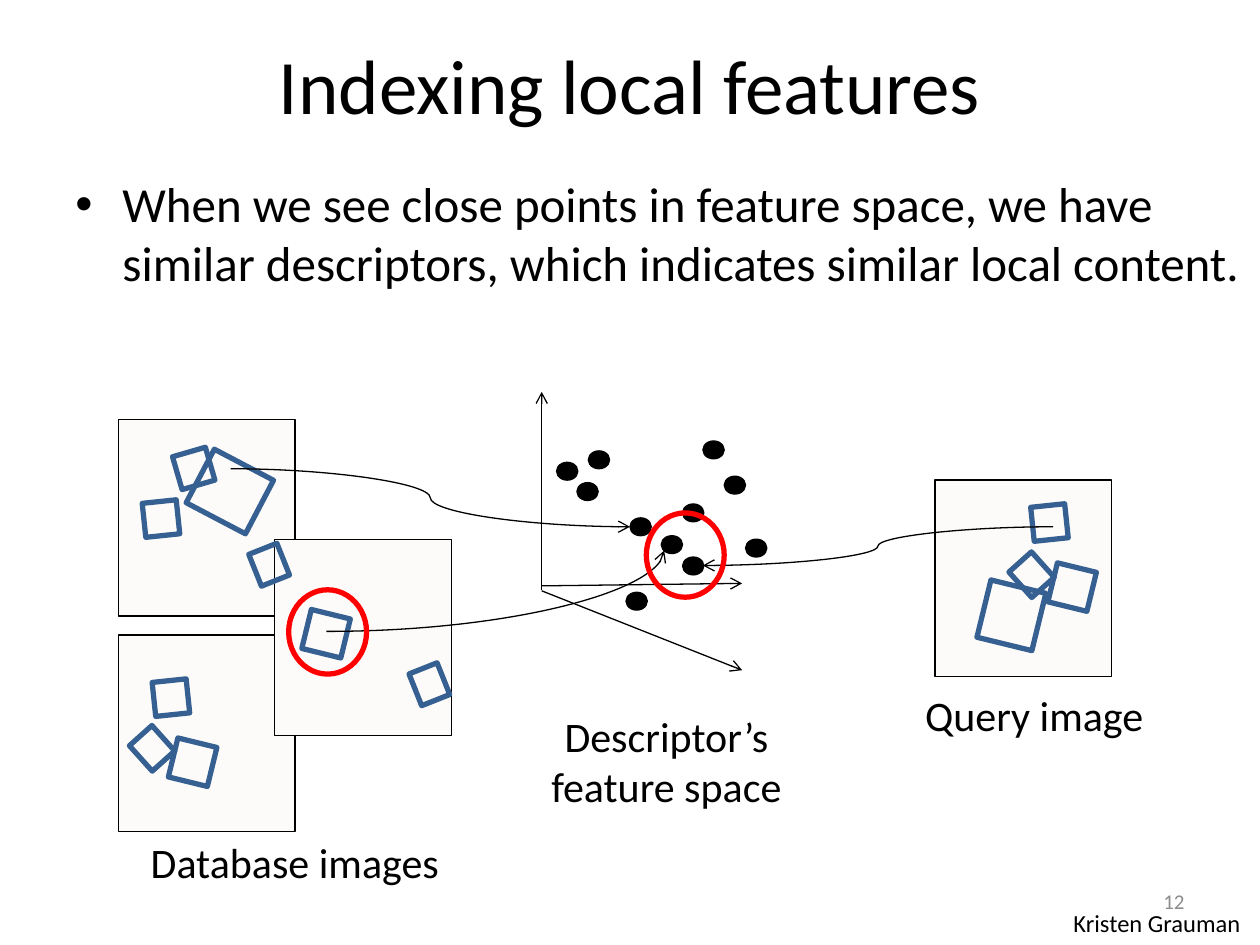
from lxml import etree
from pptx import Presentation
from pptx.dml.color import RGBColor
from pptx.enum.shapes import MSO_CONNECTOR, MSO_SHAPE
from pptx.enum.text import MSO_ANCHOR, PP_ALIGN
from pptx.oxml.ns import qn
from pptx.util import Cm, Pt

RECTANGLE, OVAL = MSO_SHAPE.RECTANGLE, MSO_SHAPE.OVAL
STRAIGHT, CURVE = MSO_CONNECTOR.STRAIGHT, MSO_CONNECTOR.CURVE
LEFT, CENTER, RIGHT = PP_ALIGN.LEFT, PP_ALIGN.CENTER, PP_ALIGN.RIGHT
TOP, MIDDLE = MSO_ANCHOR.TOP, MSO_ANCHOR.MIDDLE

BLACK = RGBColor(0x00, 0x00, 0x00)
GRAY = RGBColor(0x8C, 0x8C, 0x8C)
PAPER = RGBColor(0xFC, 0xFB, 0xF9)
BLUE = RGBColor(0x37, 0x60, 0x92)
RED = RGBColor(0xFF, 0x00, 0x00)

# Sizes in cm
PHOTO = (3.56, 3.96)
DOT = (0.43, 0.36)
RING = (1.57, 1.7)
SMALL, FLAT, MEDIUM = (0.69, 0.69), (0.69, 0.61), (0.81, 0.81)


def add_text(slide, text, box, size, align=CENTER, anchor=TOP, color=BLACK, bullet=False):
    shape = slide.shapes.add_textbox(*map(Cm, box))
    frame = shape.text_frame
    for name, value in {"word_wrap": True, "vertical_anchor": anchor}.items():
        setattr(frame, name, value)
    paragraph = frame.paragraphs[0]
    paragraph.text = text
    paragraph.alignment = align
    if bullet:
        properties = paragraph._p.get_or_add_pPr()
        properties.set("marL", str(Cm(0.95)))
        properties.set("indent", str(-Cm(0.95)))
        etree.SubElement(properties, qn("a:buFont")).set("typeface", "Arial")
        etree.SubElement(properties, qn("a:buChar")).set("char", "•")
    font = paragraph.runs[0].font
    for name, value in {"name": "Calibri", "size": Pt(size)}.items():
        setattr(font, name, value)
    font.color.rgb = color


def add_outline(slide, kind, position, size, line, width, fill=None, rotation=0):
    shape = slide.shapes.add_shape(kind, *map(Cm, (*position, *size)))
    shape.shadow.inherit = False
    shape.rotation = rotation
    if fill is None:
        shape.fill.background()
    else:
        shape.fill.solid()
        shape.fill.fore_color.rgb = fill
    shape.line.color.rgb = line
    shape.line.width = Pt(width)


def add_arrow(slide, kind, start, end, preset=None):
    connector = slide.shapes.add_connector(kind, *map(Cm, (*start, *end)))
    connector.line.color.rgb = BLACK
    connector.line.width = Pt(0.75)
    properties = connector._element.spPr
    etree.SubElement(properties.find(qn("a:ln")), qn("a:tailEnd")).set("type", "arrow")
    etree.SubElement(properties, qn("a:effectLst"))
    if preset:
        properties.find(qn("a:prstGeom")).set("prst", preset)


def add_photos(slide, left, top, photos, patches, label, label_box):
    """Photos with detected patches and a caption, relative to (left, top)."""
    for x, y in photos:
        add_outline(slide, RECTANGLE, (left + x, top + y), PHOTO, BLACK, 0.75, PAPER)
    for x, y, size, angle in patches:
        add_outline(slide, RECTANGLE, (left + x, top + y), size, BLUE, 3, rotation=angle)
    x, y, width, height = label_box
    add_text(slide, label, (left + x, top + y, width, height), 24)


def add_database(slide, left, top):
    photos = [(0, 0), (0, 4.34), (3.15, 2.41)]
    patches = [
        (1.17, 0.64, SMALL, 73.8), (1.57, 0.84, (1.35, 1.22), 27.7),
        (0.33, 6.32, FLAT, 48.1), (0.51, 1.65, SMALL, 84),
        (2.69, 2.62, FLAT, 68.3), (0.71, 5.26, SMALL, 84),
        (5.92, 5.03, FLAT, 68.3), (1.09, 6.5, MEDIUM, 13.7),
        (3.78, 3.91, MEDIUM, 13.7),
    ]
    add_photos(slide, left, top, photos, patches, "Database images", (0.28, 8.28, 6.55, 2.31))


def add_query(slide, left, top):
    patches = [
        (1.6, 1.6, FLAT, 48.1), (1.96, 0.51, SMALL, 84),
        (2.36, 1.75, MEDIUM, 13.7), (0.97, 2.13, (1.14, 1.19), 13.7),
    ]
    add_photos(slide, left, top, [(0, 0)], patches, "Query image", (-0.64, 4.09, 5.28, 2.31))


def add_feature_space(slide, left, top):
    # Axes
    axes = [((0, 3.91), (4.04, 3.86)), ((0, 3.99), (0, 0)), ((0, 4.01), (4.04, 5.61))]
    for start, end in axes:
        add_arrow(slide, STRAIGHT, (left + start[0], top + start[1]),
                  (left + end[0], top + end[1]))
    # Descriptors
    dots = [
        (0.3, 1.42), (0.71, 1.83), (0.94, 1.19), (1.78, 2.54), (2.41, 2.9), (2.84, 2.26),
        (3.25, 0.99), (3.68, 1.7), (4.11, 2.97), (1.7, 4.04), (2.84, 3.33),
    ]
    for x, y in dots:
        add_outline(slide, OVAL, (left + x, top + y), DOT, BLACK, 0.75, BLACK)
    add_text(slide, "Descriptor’s feature space", (left - 0.76, top + 6.3, 6.55, 2.31), 24)


def add_matches(slide):
    """Curves from patches to descriptors, and rings around the match."""
    add_arrow(slide, CURVE, (4.65, 9.45), (12.7, 10.62))
    add_arrow(slide, CURVE, (6.58, 12.73), (13.39, 11.1), "curvedConnector2")
    add_arrow(slide, CURVE, (21.23, 10.62), (14.17, 11.4))
    for position in [(13.03, 10.34), (5.82, 11.89)]:
        add_outline(slide, OVAL, position, RING, RED, 3)


def add_heading(slide):
    add_text(slide, "Indexing local features", (1.27, 0.1, 22.86, 3.18), 44, anchor=MIDDLE)
    add_text(slide, "When we see close points in feature space, we have similar descriptors, "
             "which indicates similar local content.",
             (1.27, 3.38, 24.13, 10.36), 28, align=LEFT, bullet=True)


def add_footer(slide):
    add_text(slide, "Kristen Grauman", (21.39, 18.19, 5.28, 0.86), 14, align=LEFT)
    add_text(slide, "12", (18.21, 17.65, 5.92, 1.02), 12, RIGHT, MIDDLE, GRAY)


def main():
    presentation = Presentation()
    presentation.slide_width, presentation.slide_height = Cm(25.4), Cm(19.05)
    slide = presentation.slides.add_slide(presentation.slide_layouts[6])
    add_heading(slide)
    add_database(slide, 2.39, 8.46)
    add_feature_space(slide, 10.92, 7.9)
    add_query(slide, 18.85, 9.68)
    add_matches(slide)
    add_footer(slide)
    presentation.save("out.pptx")


if __name__ == "__main__":
    main()
